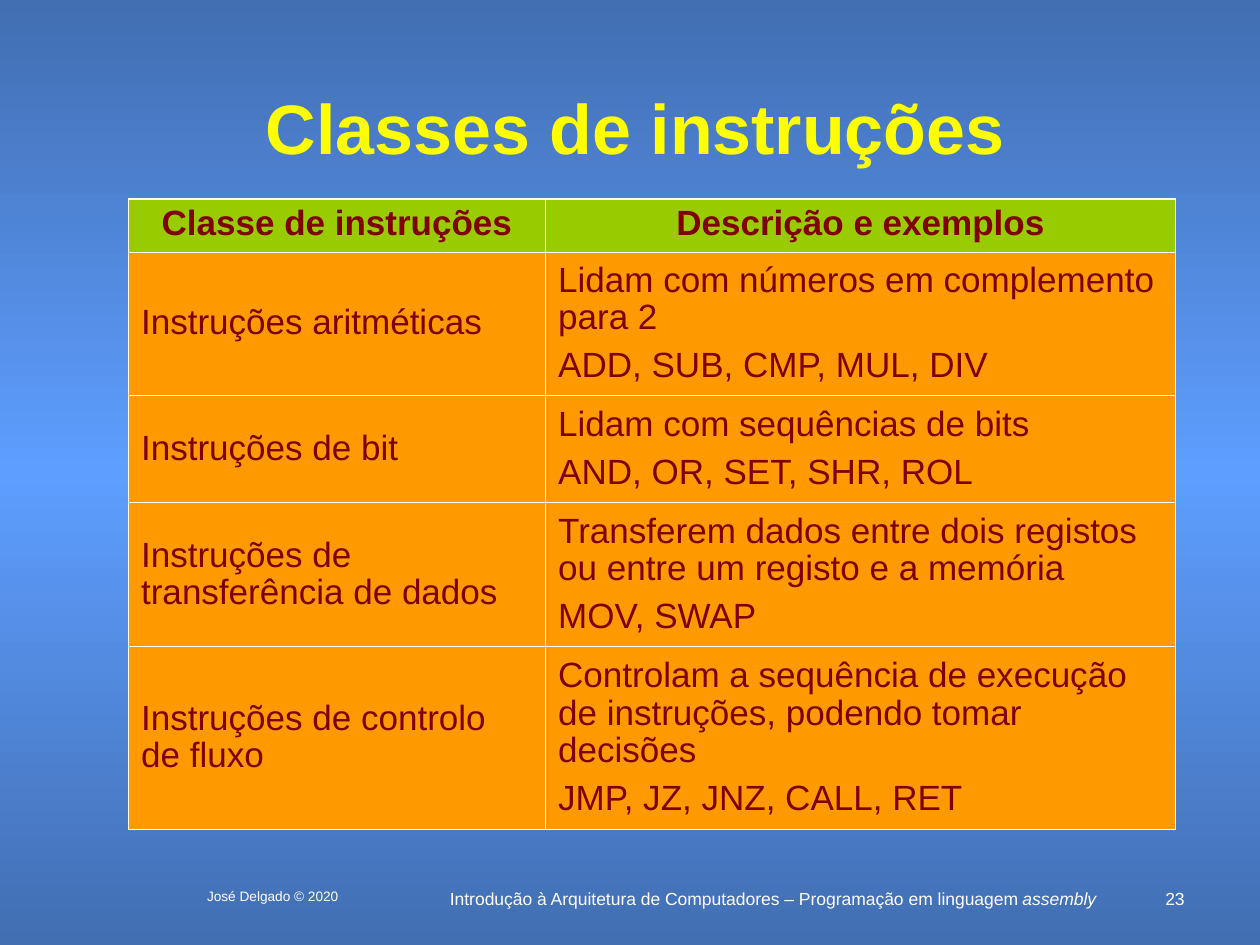
from copy import deepcopy
from dataclasses import dataclass

from lxml import etree
from pptx import Presentation
from pptx.dml.color import RGBColor
from pptx.enum.text import MSO_ANCHOR, PP_ALIGN
from pptx.oxml.ns import qn
from pptx.util import Inches, Pt

LEFT, CENTER, RIGHT = PP_ALIGN.LEFT, PP_ALIGN.CENTER, PP_ALIGN.RIGHT
TOP, MIDDLE = MSO_ANCHOR.TOP, MSO_ANCHOR.MIDDLE


@dataclass(frozen=True)
class Theme:
    font: str = "Arial"
    edge_blue: str = "426EB2"
    middle_blue: str = "5E9EFF"
    title: str = "FFFF00"
    light: str = "FFFFFF"
    table_text: str = "800000"
    header_fill: str = "99CC00"
    body_fill: str = "FF9900"
    title_size: float = 40
    table_size: float = 20
    footer_size: float = 10
    credit_size: float = 7.8
    outer_line: float = 1.08
    inner_line: float = 0.45


def write_text(frame, paragraphs, font, size, color, align=LEFT, bold=False,
               line_spacing=1.0, space_before=0):
    for index, runs in enumerate(paragraphs):
        paragraph = frame.add_paragraph() if index else frame.paragraphs[0]
        paragraph.alignment = align
        paragraph.line_spacing = line_spacing
        paragraph.space_before = Pt(space_before if index else 0)
        for text, italic in [(runs, False)] if isinstance(runs, str) else runs:
            run = paragraph.add_run()
            run.text = text
            run.font.name = font
            run.font.size = Pt(size)
            run.font.bold = bold
            run.font.italic = italic
            run.font.color.rgb = RGBColor.from_string(color)


class SlideBuilder:
    def __init__(self, slide, theme):
        self.slide = slide
        self.theme = theme

    def background(self, colors):
        fill = self.slide.background.fill
        fill.gradient()
        fill.gradient_angle = 270
        stop_list = next(self.slide.element.iter(qn("a:gsLst")))
        while len(stop_list) < len(colors):
            stop_list.append(deepcopy(stop_list[0]))
        for index, (stop, color) in enumerate(zip(fill.gradient_stops, colors)):
            stop.position = index / (len(colors) - 1)
            stop.color.rgb = RGBColor.from_string(color)

    def text(self, box, paragraphs, anchor=TOP, **text_format):
        shape = self.slide.shapes.add_textbox(*map(Inches, box))
        frame = shape.text_frame
        frame.word_wrap = True
        frame.vertical_anchor = anchor
        write_text(frame, paragraphs, font=self.theme.font, **text_format)

    def border(self, cell, side, width):
        properties = cell._tc.get_or_add_tcPr()
        line = etree.SubElement(properties, qn(f"a:ln{side}"), w=str(Pt(width)))
        fill = etree.SubElement(line, qn("a:solidFill"))
        etree.SubElement(fill, qn("a:srgbClr"), val=self.theme.light)

    def cell(self, cell, paragraphs, header, outer_sides):
        theme = self.theme
        cell.margin_left = cell.margin_right = Inches(0.1)
        cell.margin_top = cell.margin_bottom = Inches(0.05)
        cell.vertical_anchor = TOP if header else MIDDLE
        for side in "LRTB":
            self.border(cell, side, theme.outer_line if side in outer_sides else theme.inner_line)
        cell.fill.solid()
        cell.fill.fore_color.rgb = RGBColor.from_string(
            theme.header_fill if header else theme.body_fill)
        write_text(cell.text_frame, paragraphs, font=theme.font, size=theme.table_size,
                   color=theme.table_text, align=CENTER if header else LEFT,
                   bold=header, line_spacing=0.95, space_before=6.2)

    def table(self, left, top, widths, heights, rows):
        frame = self.slide.shapes.add_table(
            len(heights), len(widths), Inches(left), Inches(top),
            Inches(sum(widths)), Inches(sum(heights)))
        table = frame.table
        table.horz_banding = False
        for column, width in zip(table.columns, widths):
            column.width = Inches(width)
        for row, height in zip(table.rows, heights):
            row.height = Inches(height)
        for row_index, row in enumerate(rows):
            for column_index, paragraphs in enumerate(row):
                outer_sides = "L" if column_index == 0 else ""
                outer_sides += "R" if column_index == len(widths) - 1 else ""
                outer_sides += "T" if row_index == 0 else ""
                self.cell(table.cell(row_index, column_index), paragraphs,
                          row_index == 0, outer_sides)


INSTRUCTION_CLASSES = [
    (["Classe de instruções"], ["Descrição e exemplos"]),
    (["Instruções aritméticas"],
     ["Lidam com números em complemento para 2", "ADD, SUB, CMP, MUL, DIV"]),
    (["Instruções de bit"],
     ["Lidam com sequências de bits", "AND, OR, SET, SHR, ROL"]),
    (["Instruções de transferência de dados"],
     ["Transferem dados entre dois registos ou entre um registo e a memória", "MOV, SWAP"]),
    (["Instruções de controlo de fluxo"],
     ["Controlam a sequência de execução de instruções, podendo tomar decisões",
      "JMP, JZ, JNZ, CALL, RET"]),
]
COURSE = [("Introdução à Arquitetura de Computadores – Programação em linguagem ", False),
          ("assembly", True)]


def main():
    presentation = Presentation()
    presentation.slide_width = Inches(10)
    presentation.slide_height = Inches(7.5)
    theme = Theme()
    builder = SlideBuilder(presentation.slides.add_slide(presentation.slide_layouts[6]), theme)

    builder.background([theme.edge_blue, theme.middle_blue, theme.edge_blue])
    builder.text((3.47, 7, 5.33, 0.25), [COURSE],
                 size=theme.footer_size, color=theme.light, align=CENTER)
    builder.text((9.08, 7, 0.42, 0.17), ["23"],
                 size=theme.footer_size, color=theme.light, align=RIGHT)
    builder.text((1.33, 7, 1.67, 0.25), ["José Delgado © 2020"],
                 size=theme.credit_size, color=theme.light, align=CENTER)
    builder.text((0.75, 0.67, 8.58, 0.67), ["Classes de instruções"], anchor=MIDDLE,
                 size=theme.title_size, color=theme.title, align=CENTER, bold=True)
    builder.table(1.02, 1.58, [3.31, 5], [0.42, 1.14, 0.85, 1.14, 1.45], INSTRUCTION_CLASSES)

    presentation.save("out.pptx")


if __name__ == "__main__":
    main()
